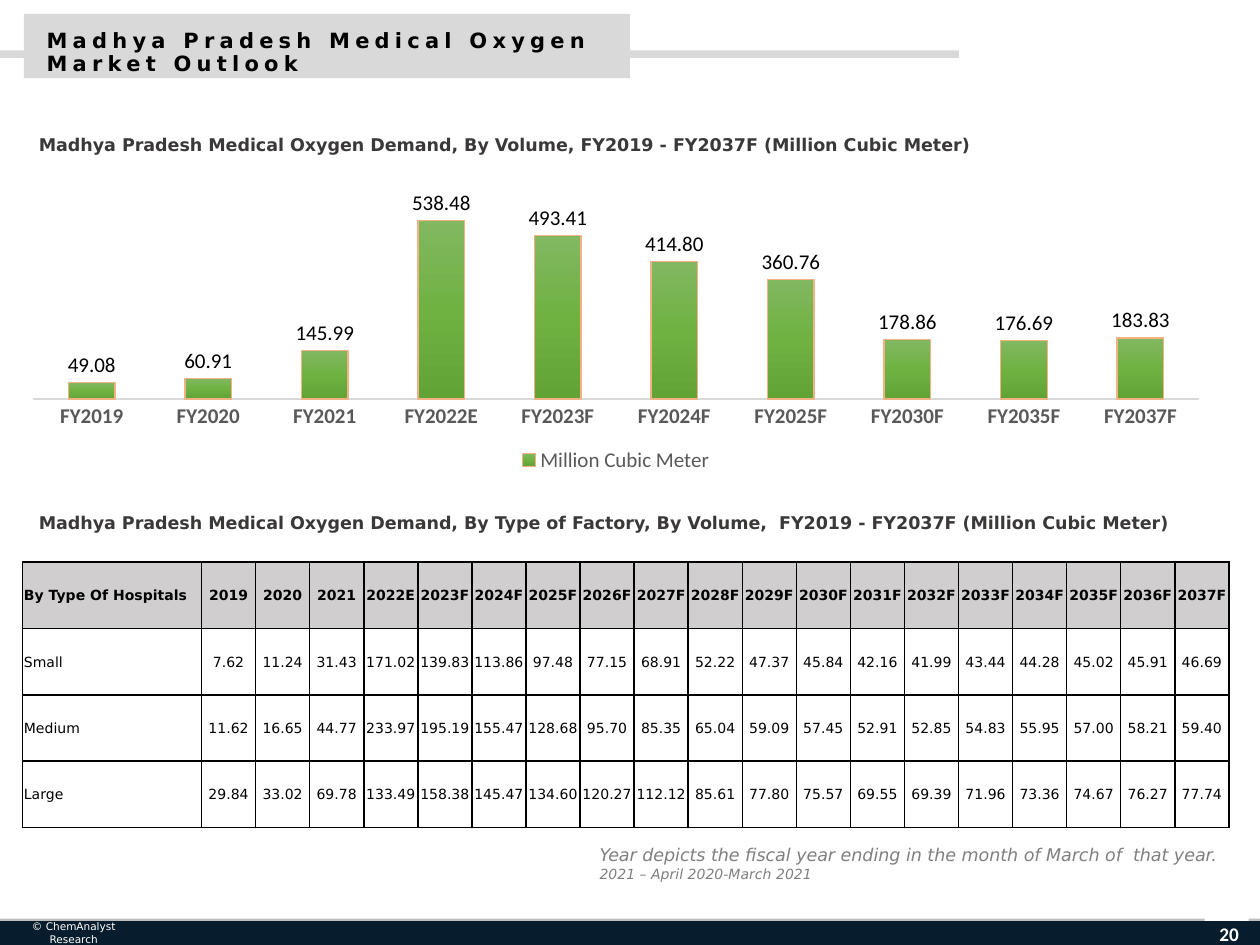
from lxml import etree
from pptx import Presentation
from pptx.chart.data import CategoryChartData
from pptx.dml.color import RGBColor
from pptx.enum.chart import XL_CHART_TYPE, XL_LABEL_POSITION, XL_LEGEND_POSITION, XL_TICK_MARK
from pptx.enum.shapes import MSO_SHAPE
from pptx.enum.text import MSO_ANCHOR, MSO_AUTO_SIZE, PP_ALIGN
from pptx.oxml import parse_xml
from pptx.oxml.ns import nsdecls, qn
from pptx.util import Inches, Pt

COLUMN = XL_CHART_TYPE.COLUMN_CLUSTERED
OUTSIDE_END = XL_LABEL_POSITION.OUTSIDE_END
LEGEND_BOTTOM = XL_LEGEND_POSITION.BOTTOM
NO_TICK = XL_TICK_MARK.NONE
RECTANGLE = MSO_SHAPE.RECTANGLE
TOP, MIDDLE = MSO_ANCHOR.TOP, MSO_ANCHOR.MIDDLE
LEFT, CENTER = PP_ALIGN.LEFT, PP_ALIGN.CENTER
NO_AUTOFIT = MSO_AUTO_SIZE.NONE

BLACK = RGBColor(0x00, 0x00, 0x00)
WHITE = RGBColor(0xFF, 0xFF, 0xFF)
NAVY = RGBColor(0x07, 0x1C, 0x2C)
BAND_GREY = RGBColor(0xD9, 0xD9, 0xD9)
FOOTER_GREY = RGBColor(0xBF, 0xBF, 0xBF)
HEADER_GREY = RGBColor(0xD0, 0xCE, 0xCE)
HEADING_GREY = RGBColor(0x3B, 0x38, 0x38)
AXIS_GREY = RGBColor(0x59, 0x59, 0x59)
NOTE_GREY = RGBColor(0x7F, 0x7F, 0x7F)
BAR_EDGE = RGBColor(0xF4, 0xB1, 0x83)
BAR_STOPS = [(0, "81B861"), (50, "6FB242"), (100, "62A336")]

BODY_FONT, CHART_FONT = "DejaVu Sans", "Calibri"

DEMAND = {
    "FY2019": 49.08, "FY2020": 60.91, "FY2021": 145.99, "FY2022E": 538.48,
    "FY2023F": 493.41, "FY2024F": 414.80, "FY2025F": 360.76,
    "FY2030F": 178.86, "FY2035F": 176.69, "FY2037F": 183.83,
}
YEARS = ["2019", "2020", "2021", "2022E"] + [f"{year}F" for year in range(2023, 2038)]
HOSPITALS = {
    "Small": [7.62, 11.24, 31.43, 171.02, 139.83, 113.86, 97.48, 77.15, 68.91, 52.22,
              47.37, 45.84, 42.16, 41.99, 43.44, 44.28, 45.02, 45.91, 46.69],
    "Medium": [11.62, 16.65, 44.77, 233.97, 195.19, 155.47, 128.68, 95.70, 85.35, 65.04,
               59.09, 57.45, 52.91, 52.85, 54.83, 55.95, 57.00, 58.21, 59.40],
    "Large": [29.84, 33.02, 69.78, 133.49, 158.38, 145.47, 134.60, 120.27, 112.12, 85.61,
              77.80, 75.57, 69.55, 69.39, 71.96, 73.36, 74.67, 76.27, 77.74],
}


def style_font(font, size, color, name=BODY_FONT, bold=False, italic=False):
    font.name, font.size, font.bold, font.italic = name, Pt(size), bold, italic
    font.color.rgb = color


def write(paragraph, text, align=LEFT, spacing=1.0, tracking=0, **font_format):
    paragraph.alignment = align
    paragraph.line_spacing = spacing
    run = paragraph.add_run()
    run.text = text
    style_font(run.font, **font_format)
    if tracking:
        run.font._element.set("spc", str(tracking * 100))


def add_text(slide, box, text, anchor=TOP, **text_format):
    frame = slide.shapes.add_textbox(*map(Inches, box)).text_frame
    frame.word_wrap = True
    frame.vertical_anchor = anchor
    write(frame.paragraphs[0], text, **text_format)
    return frame


def add_band(slide, box, color):
    band = slide.shapes.add_shape(RECTANGLE, *map(Inches, box))
    band.shadow.inherit = False
    band.fill.solid()
    band.fill.fore_color.rgb = color
    band.line.fill.background()


def add_footer(slide, left, top, width):
    add_band(slide, (left, top, width, 0.21), FOOTER_GREY)
    add_band(slide, (left + 9.56, top - 0.16, 0.35, 0.37), WHITE)
    add_band(slide, (left, top + 0.02, width, 0.19), NAVY)
    add_text(slide, (left, top + 0.04, 1.17, 0.15), "© ChemAnalyst Research",
             anchor=MIDDLE, align=CENTER, size=6, color=WHITE)
    add_text(slide, (left + 9.51, top - 0.08, 0.49, 0.4), "20", anchor=MIDDLE,
             align=CENTER, size=11, color=WHITE, name=CHART_FONT, bold=True)


def add_header(slide, left, top, width, height):
    add_band(slide, (left, top, width, height), BAND_GREY)
    add_band(slide, (0, top + 0.29, 7.61, 0.06), BAND_GREY)
    title = slide.shapes.title
    title.left, title.top = Inches(left + 0.08), Inches(top + 0.08)
    title.width, title.height = Inches(width + 0.07), Inches(0.46)
    frame = title.text_frame
    frame.auto_size = NO_AUTOFIT
    frame.word_wrap = True
    frame.vertical_anchor = TOP
    write(frame.paragraphs[0], "Madhya Pradesh Medical Oxygen Market Outlook",
          spacing=0.9, tracking=3, size=12, color=BLACK, bold=True)
    # Bring the title in front of its bands
    slide.shapes._spTree.append(title._element)


def add_heading(slide, box, text):
    add_text(slide, box, text, spacing=1.5, size=10, color=HEADING_GREY, bold=True)


def add_demand_chart(slide, box):
    demand = CategoryChartData(number_format="0.00")
    demand.categories = list(DEMAND)
    demand.add_series("Million Cubic Meter", list(DEMAND.values()))
    chart = slide.shapes.add_chart(COLUMN, *map(Inches, box), demand).chart
    chart.has_title = False
    style_font(chart.font, 10, BLACK, CHART_FONT)

    # Legend and axes
    chart.has_legend = True
    chart.legend.position = LEGEND_BOTTOM
    chart.legend.include_in_layout = False
    style_font(chart.legend.font, 12, AXIS_GREY, CHART_FONT)
    years, volume = chart.category_axis, chart.value_axis
    years.major_tick_mark = NO_TICK
    years.format.line.color.rgb = BAND_GREY
    years.format.line.width = Pt(1)
    style_font(years.tick_labels.font, 12, AXIS_GREY, CHART_FONT, bold=True)
    volume.minimum_scale, volume.maximum_scale = 0, 600
    volume.has_major_gridlines = False
    volume.visible = False

    # Columns with a vertical gradient
    plot = chart.plots[0]
    plot.gap_width = 150
    plot.vary_by_categories = False
    columns = plot.series[0]
    columns.format.line.color.rgb = BAR_EDGE
    columns.format.line.width = Pt(0.75)
    stops = "".join(f'<a:gs pos="{pos * 1000}"><a:srgbClr val="{color}"/></a:gs>'
                    for pos, color in BAR_STOPS)
    columns._element.get_or_add_spPr().insert(0, parse_xml(
        f'<a:gradFill {nsdecls("a")} rotWithShape="1"><a:gsLst>{stops}</a:gsLst>'
        '<a:lin ang="5400000" scaled="0"/></a:gradFill>'))

    # Value labels
    labels = columns.data_labels
    labels.show_value = True
    labels.position = OUTSIDE_END
    labels.number_format, labels.number_format_is_linked = "0.00", False
    style_font(labels.font, 12, BLACK, CHART_FONT)

    # Fixed inner plot area
    plot_area = chart._chartSpace.find(".//" + qn("c:plotArea"))
    for old_layout in plot_area.findall(qn("c:layout")):
        plot_area.remove(old_layout)
    settings = {"layoutTarget": "inner", "xMode": "edge", "yMode": "edge",
                "x": 0.007, "y": 0.059, "w": 0.986, "h": 0.675}
    layout = etree.Element(qn("c:layout"))
    manual = etree.SubElement(layout, qn("c:manualLayout"))
    for tag, value in settings.items():
        etree.SubElement(manual, qn(f"c:{tag}")).set("val", str(value))
    plot_area.insert(0, layout)


def format_cell(cell, text, is_header, align):
    cell.margin_left = cell.margin_right = cell.margin_top = Inches(0.01)
    cell.margin_bottom = 0
    cell.vertical_anchor = MIDDLE
    write(cell.text_frame.paragraphs[0], text, align=align, size=8, color=BLACK, bold=is_header)
    properties = cell._tc.get_or_add_tcPr()
    for side in ("lnL", "lnR", "lnT", "lnB"):
        properties.append(parse_xml(
            f'<a:{side} {nsdecls("a")} w="12700"><a:solidFill>'
            f'<a:srgbClr val="{BLACK}"/></a:solidFill></a:{side}>'))
    if is_header:
        cell.fill.solid()
        cell.fill.fore_color.rgb = HEADER_GREY
    else:
        cell.fill.background()


def add_hospital_table(slide, box):
    rows = [["By Type Of Hospitals"] + YEARS]
    rows += [[kind] + [f"{value:.2f}" for value in values] for kind, values in HOSPITALS.items()]
    table = slide.shapes.add_table(len(rows), len(rows[0]), *map(Inches, box)).table
    table.horz_banding = False
    name_width = 1.42
    year_width = (box[2] - name_width) / len(YEARS)
    for index, column in enumerate(table.columns):
        column.width = Inches(year_width if index else name_width)
    for r, row in enumerate(rows):
        for c, text in enumerate(row):
            format_cell(table.cell(r, c), text, r == 0, CENTER if c else LEFT)


def add_year_note(slide, box):
    note = add_text(slide, box,
                    "Year depicts the fiscal year ending in the month of March of  that year.",
                    size=10, color=NOTE_GREY, italic=True)
    write(note.add_paragraph(), "2021 – April 2020-March 2021",
          size=8, color=NOTE_GREY, italic=True)


def main():
    prs = Presentation()
    prs.slide_width, prs.slide_height = Inches(10), Inches(7.5)
    slide = prs.slides.add_slide(prs.slide_layouts[5])
    add_footer(slide, 0, 7.29, 10)
    add_header(slide, 0.19, 0.11, 4.81, 0.51)
    add_heading(slide, (0.21, 0.93, 9.25, 0.32),
                "Madhya Pradesh Medical Oxygen Demand, By Volume, "
                "FY2019 - FY2037F (Million Cubic Meter)")
    add_demand_chart(slide, (0.2, 1.45, 9.38, 2.34))
    add_hospital_table(slide, (0.18, 4.46, 9.58, 2.11))
    add_heading(slide, (0.21, 3.93, 9.64, 0.32),
                "Madhya Pradesh Medical Oxygen Demand, By Type of Factory, By Volume,  "
                "FY2019 - FY2037F (Million Cubic Meter)")
    add_year_note(slide, (4.66, 6.65, 5.45, 0.57))
    prs.save("out.pptx")


if __name__ == "__main__":
    main()
